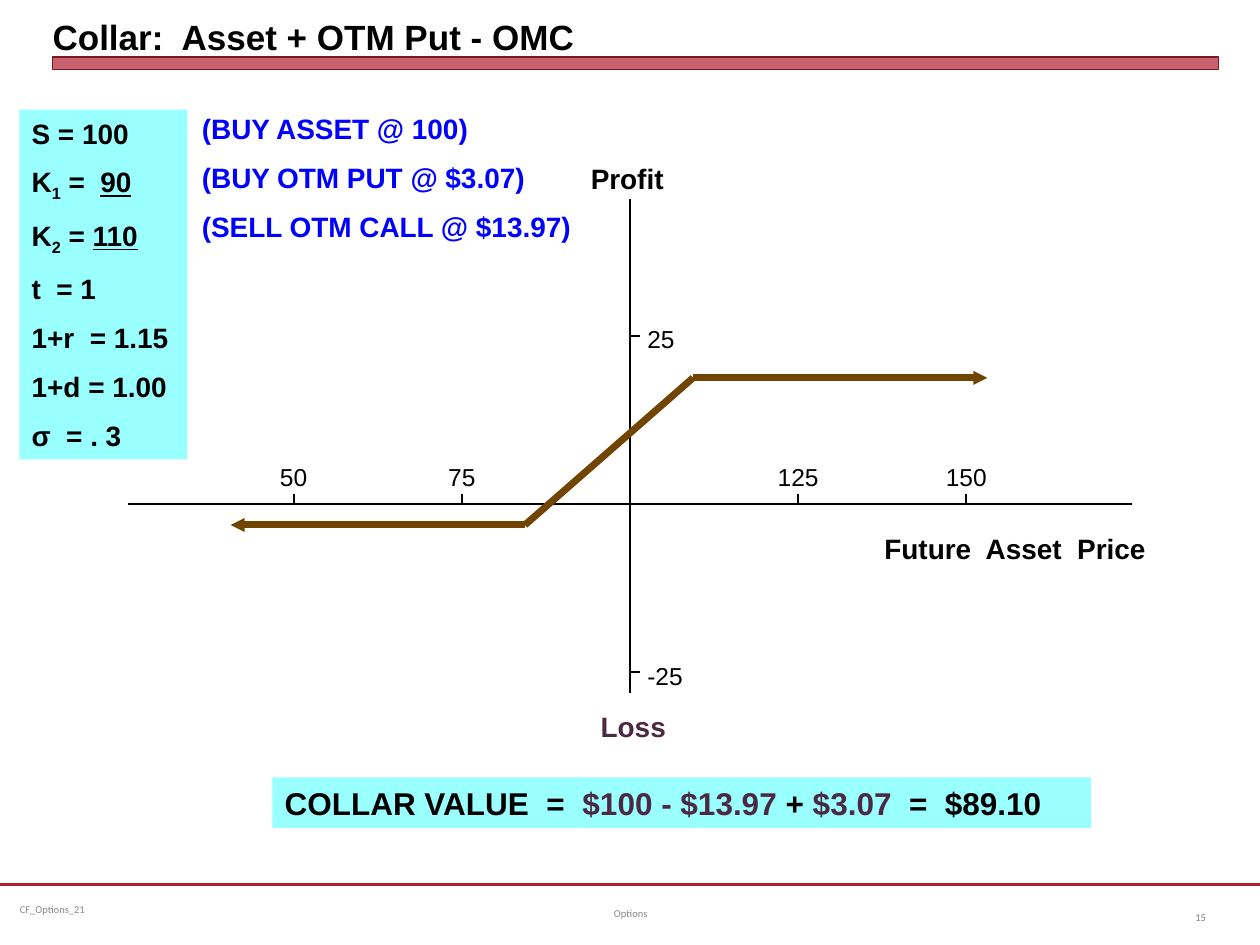
from pptx import Presentation
from pptx.dml.color import RGBColor
from pptx.enum.shapes import MSO_CONNECTOR, MSO_SHAPE
from pptx.enum.text import MSO_ANCHOR, MSO_UNDERLINE, PP_ALIGN
from pptx.oxml.ns import qn
from pptx.util import Cm, Pt
from lxml import etree

STRAIGHT = MSO_CONNECTOR.STRAIGHT
RECTANGLE = MSO_SHAPE.RECTANGLE
TOP, MIDDLE, BOTTOM = MSO_ANCHOR.TOP, MSO_ANCHOR.MIDDLE, MSO_ANCHOR.BOTTOM
LEFT, CENTER, RIGHT = PP_ALIGN.LEFT, PP_ALIGN.CENTER, PP_ALIGN.RIGHT
UNDERLINE = MSO_UNDERLINE.SINGLE_LINE

BLACK = RGBColor(0x00, 0x00, 0x00)
BLUE = RGBColor(0x00, 0x00, 0xFF)
PLUM = RGBColor(0x4B, 0x29, 0x42)
CYAN = RGBColor(0x99, 0xFF, 0xFF)
BROWN = RGBColor(0x71, 0x44, 0x00)
CRIMSON = RGBColor(0xB0, 0x1C, 0x2E)
DARK_RED = RGBColor(0x82, 0x15, 0x22)
GREY = RGBColor(0x89, 0x89, 0x89)
NUMBER_GREY = RGBColor(0x80, 0x80, 0x80)

PARAGRAPH_GAP = Pt(8.75)
INSET_X, INSET_Y = Cm(0.25), Cm(0.13)


def add_run(paragraph, text, size, color=BLACK, bold=True, font="Arial",
            underline=None, subscript=False):
    run = paragraph.add_run()
    run.text = text
    run.font.name = font
    run.font.size = Pt(size)
    run.font.bold = bold
    run.font.color.rgb = color
    run.font.underline = underline
    if subscript:
        run.font._element.set("baseline", "-25000")


def set_frame(shape, anchor=TOP, inset_x=INSET_X, inset_y=INSET_Y):
    frame = shape.text_frame
    frame.word_wrap = True
    frame.vertical_anchor = anchor
    frame.margin_left = frame.margin_right = inset_x
    frame.margin_top = frame.margin_bottom = inset_y
    return frame


def fill_lines(frame, lines, size, align=LEFT, **style):
    """Write each line, a list of (text, run options), as one paragraph."""
    for index, line in enumerate(lines):
        paragraph = frame.paragraphs[0] if index == 0 else frame.add_paragraph()
        paragraph.alignment = align
        if index:
            paragraph.space_before = PARAGRAPH_GAP
        for text, options in line:
            add_run(paragraph, text, size, **{**style, **options})


def add_label(slide, box, text, size, align=LEFT, anchor=TOP, **style):
    frame = set_frame(slide.shapes.add_textbox(*box), anchor)
    fill_lines(frame, [[(text, {})]], size, align, **style)


def add_panel(slide, box, lines, size):
    panel = slide.shapes.add_shape(RECTANGLE, *box)
    panel.shadow.inherit = False
    panel.fill.solid()
    panel.fill.fore_color.rgb = CYAN
    panel.line.fill.background()
    fill_lines(set_frame(panel), lines, size)


def add_line(slide, start, end, color=BLACK, width=1, arrow=False):
    line = slide.shapes.add_connector(
        STRAIGHT, *(round(value) for value in (*start, *end)))
    line.line.color.rgb = color
    line.line.width = Pt(width)
    etree.SubElement(line._element.spPr, qn("a:effectLst"))
    if arrow:
        etree.SubElement(line.line._get_or_add_ln(), qn("a:tailEnd"),
                         type="triangle", w="sm", len="sm")


def add_heading(slide, left, top, width, height):
    bar_height = Cm(0.25)
    title = slide.shapes.title
    title.left, title.top = left, top
    title.width, title.height = width, height - bar_height
    frame = set_frame(title, BOTTOM, 0, 0)
    fill_lines(frame, [[("Collar:  Asset + OTM Put - OMC", {})]], 20)

    bar = slide.shapes.add_shape(
        RECTANGLE, left, top + height - bar_height, width, bar_height)
    bar.shadow.inherit = False
    bar.fill.solid()
    bar.fill.fore_color.rgb = CRIMSON
    color = bar.fill._xPr.find(qn("a:solidFill"))[0]
    etree.SubElement(color, qn("a:alpha"), val="69000")
    bar.line.color.rgb = DARK_RED
    bar.line.width = Pt(0)


def add_inputs(slide, left, top, width, height):
    def strike(number, gap, price):
        return [("K", {}), (number, {"subscript": True}), (gap, {}),
                (price, {"underline": UNDERLINE})]

    plain = [[(text, {})] for text in
             ("S = 100", "t  = 1", "1+r  = 1.15", "1+d = 1.00", "σ  = . 3")]
    lines = [plain[0], strike("1", " =  ", "90"), strike("2", " = ", "110"),
             *plain[1:]]
    add_panel(slide, (left, top, width, height), lines, 16)


def add_trades(slide, left, top, width, height):
    trades = ("(BUY ASSET @ 100)", "(BUY OTM PUT @ $3.07)",
              "(SELL OTM CALL @ $13.97)")
    frame = set_frame(slide.shapes.add_textbox(left, top, width, height))
    fill_lines(frame, [[(trade, {})] for trade in trades], 16, color=BLUE)


def add_profit_diagram(slide, left, top, width, height):
    """Draw the axes across the box, with the collar's profit line on them."""
    unit = Cm(3.39) / 25
    center_x, axis_y = left + width // 2, top + Cm(6.15)
    right, bottom = left + width, top + height
    tick = Cm(0.2)
    label_height = Cm(0.85)

    def point(price, profit):
        return (round(center_x + (price - 100) * unit),
                round(axis_y - profit * unit))

    add_line(slide, (left, axis_y), (right, axis_y))
    add_line(slide, (center_x, bottom), (center_x, top))

    label_width = Cm(2)
    for price in (50, 75, 125, 150):
        x, y = point(price, 0)
        add_line(slide, (x, y), (x, y - tick))
        add_label(slide, (x - label_width // 2, y - Cm(0.97), label_width,
                          label_height), str(price), 14, CENTER, bold=False)
    for profit in (25, -25):
        x, y = point(100, profit)
        add_line(slide, (x, y), (x + tick, y))
        add_label(slide, (x + Cm(0.1), y - Cm(0.36), Cm(1.7), label_height),
                  str(profit), 14, bold=False)

    floor, cap = point(84.38, -3.12), point(109.38, 18.75)
    add_line(slide, floor, cap, BROWN, 4)
    add_line(slide, cap, point(153.12, 18.75), BROWN, 4, arrow=True)
    add_line(slide, floor, point(40.62, -3.12), BROWN, 4, arrow=True)

    name_height = Cm(0.93)
    add_label(slide, (center_x - Cm(1.04), top - Cm(0.89), Cm(2.08),
                      name_height), "Profit", 16)
    add_label(slide, (center_x - Cm(0.84), bottom + Cm(0.2), Cm(1.88),
                      name_height), "Loss", 16, color=PLUM)
    add_label(slide, (right - Cm(5.23), axis_y + Cm(0.43), Cm(6.55),
                      name_height), "Future  Asset  Price", 16)


def add_collar_value(slide, left, top, width, height):
    formula = [("COLLAR VALUE  =  ", {}), ("$100 - $13.97", {"color": PLUM}),
               (" +", {}), (" $3.07", {"color": PLUM}), ("  =  $89.10", {})]
    add_panel(slide, (left, top, width, height), [formula], 18)


def add_footer(slide, left, top, width):
    add_line(slide, (left, top), (left + width, top), CRIMSON, 1.25)
    height = Cm(1.02)
    parts = (
        (-0.05 + 0.2, 0, 6.55, "CF_Options_21", LEFT, GREY),
        (8.69, 0.08, 8.05, "Options", CENTER, GREY),
        (23.29, 0.15, 1.27, "15", RIGHT, NUMBER_GREY),
    )
    for x, y, part_width, text, align, color in parts:
        add_label(slide, (left + Cm(x), top + Cm(y), Cm(part_width), height),
                  text, 6, align, MIDDLE, color=color, bold=False,
                  font="Calibri")


def main():
    deck = Presentation()
    deck.slide_width, deck.slide_height = Cm(25.4), Cm(19.05)
    slide = deck.slides.add_slide(deck.slide_layouts[5])
    add_heading(slide, Cm(1.06), Cm(0.13), Cm(23.5), Cm(1.27))
    add_inputs(slide, Cm(0.39), Cm(2.21), Cm(3.39), Cm(7.05))
    add_collar_value(slide, Cm(5.49), Cm(15.67), Cm(16.51), Cm(1.02))
    add_profit_diagram(slide, Cm(2.59), Cm(4.01), Cm(20.22), Cm(9.96))
    add_trades(slide, Cm(3.82), Cm(2.12), Cm(8.2), Cm(2.97))
    add_footer(slide, 0, Cm(17.83), deck.slide_width)
    deck.save("out.pptx")


if __name__ == "__main__":
    main()
